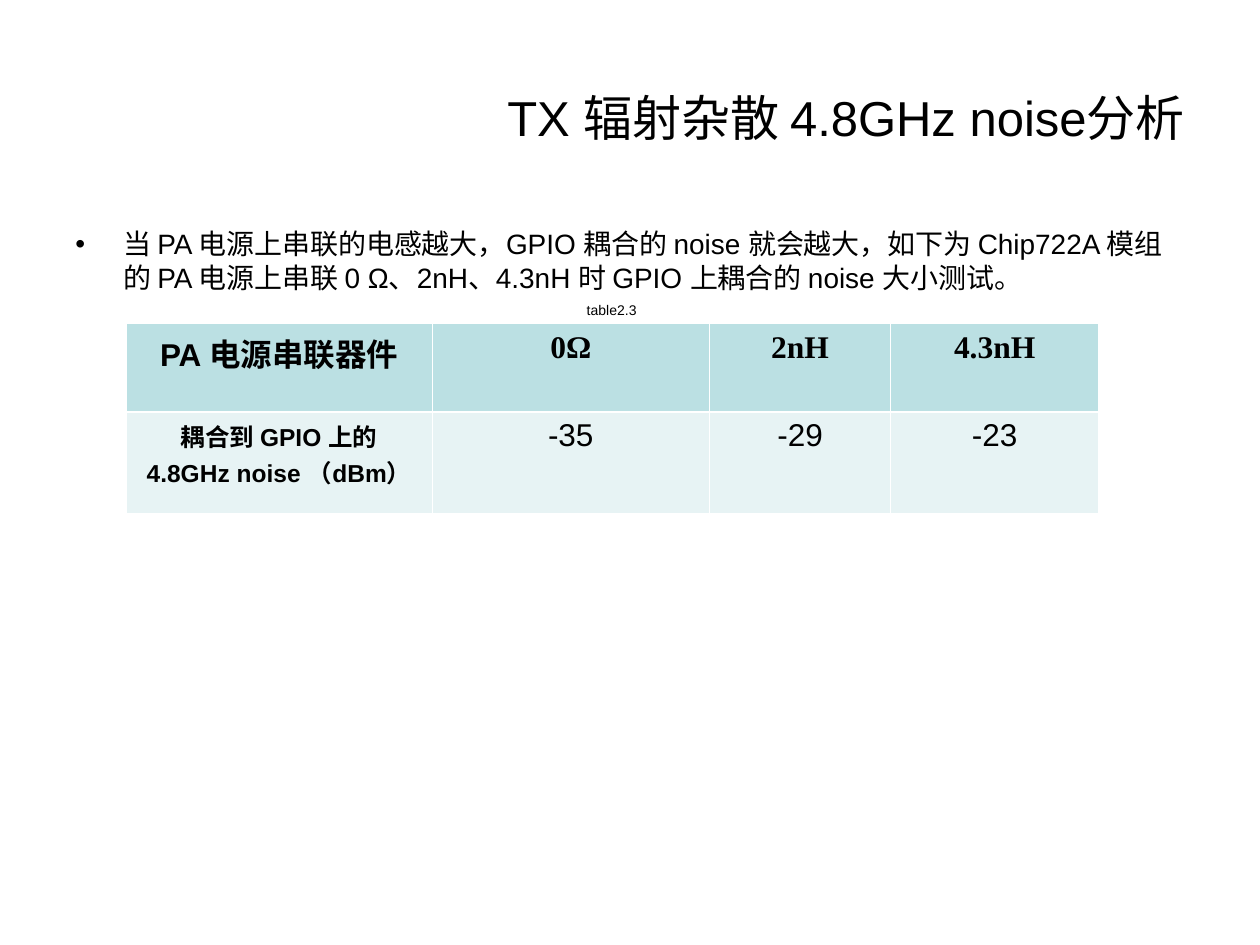
"""Build the slide on 4.8GHz noise coupled to GPIO for different series parts."""
from lxml.etree import SubElement
from pptx import Presentation
from pptx.dml.color import RGBColor
from pptx.enum.text import MSO_ANCHOR, MSO_AUTO_SIZE, PP_ALIGN
from pptx.oxml.ns import qn
from pptx.util import Inches, Pt


def write(frame, text, align, size, bold=False, name="Arial", bullet=None):
    frame.word_wrap = True
    para = frame.paragraphs[0]
    para.alignment = align
    if bullet:
        properties = para._p.get_or_add_pPr()
        properties.set("marL", str(Inches(0.38)))
        properties.set("indent", str(-Inches(0.38)))
        SubElement(properties, qn("a:buFont"), typeface="Arial")
        SubElement(properties, qn("a:buChar"), char=bullet)
    span = para.add_run()
    span.text = text
    for key, value in {"size": Pt(size), "bold": bold, "name": name}.items():
        setattr(span.font, key, value)
    span.font.color.rgb = RGBColor.from_string("000000")


def paint(cell, fill, borders):
    cell.fill.solid()
    cell.fill.fore_color.rgb = RGBColor.from_string(fill)
    properties = cell._tc.get_or_add_tcPr()
    for position, (side, width) in enumerate(borders.items()):
        line = properties.makeelement(qn(f"a:{side}"), {"w": str(Pt(width))})
        solid = SubElement(line, qn("a:solidFill"))
        SubElement(solid, qn("a:srgbClr"), val="FFFFFF")
        properties.insert(position, line)


deck = Presentation()
deck.slide_width, deck.slide_height = Inches(10), Inches(7.5)
page = deck.slides.add_slide(deck.slide_layouts[5])
margin = int(deck.slide_width * 0.05)
content_width = deck.slide_width - 2 * margin

title = page.shapes.title
title_place = {"left": margin, "top": int(deck.slide_height * 0.04),
               "width": content_width, "height": Inches(1.25)}
for key, value in title_place.items():
    setattr(title, key, value)
title.text_frame.auto_size = MSO_AUTO_SIZE.NONE
title.text_frame.vertical_anchor = MSO_ANCHOR.MIDDLE
write(title.text_frame, "TX 辐射杂散 4.8GHz noise分析", PP_ALIGN.RIGHT, 28)

body = page.shapes.add_textbox(margin, Inches(1.75), content_width, int(deck.slide_height * 0.66))
write(body.text_frame,
      "当 PA 电源上串联的电感越大，GPIO 耦合的 noise 就会越大，如下为 Chip722A "
      "模组的 PA 电源上串联 0 Ω、2nH、4.3nH 时 GPIO 上耦合的 noise 大小测试。",
      PP_ALIGN.LEFT, 16, bullet="•")

columns = [2.43, 2.2, 1.44, 1.65]
heights = [0.7, 0.8]
rows = [["PA 电源串联器件", "0Ω", "2nH", "4.3nH"],
        ["耦合到 GPIO 上的 4.8GHz noise （dBm）", "-35", "-29", "-23"]]
fills = ["BBE0E3", "E7F3F4"]
thin, thick = 0.45, 1.47
table = page.shapes.add_table(len(rows), len(columns), 2 * margin, Inches(2.57),
                              Inches(sum(columns)), Inches(sum(heights))).table
for column, width in zip(table.columns, columns):
    column.width = Inches(width)
for row_index, texts in enumerate(rows):
    header = row_index == 0
    table.rows[row_index].height = Inches(heights[row_index])
    borders = {"lnL": thin, "lnR": thin, "lnT": thin if header else thick,
               "lnB": thick if header else thin}
    for column_index, text in enumerate(texts):
        label = column_index == 0
        cell = table.cell(row_index, column_index)
        paint(cell, fills[row_index], borders)
        write(cell.text_frame, text, PP_ALIGN.CENTER,
              14 if label and not header else 18, bold=header or label,
              name="Times New Roman" if header and not label else "Arial")

caption = page.shapes.add_textbox(Inches(4.32), Inches(2.34), Inches(1.07), Inches(0.24))
write(caption.text_frame, "table2.3", PP_ALIGN.CENTER, 8)

deck.save("out.pptx")
